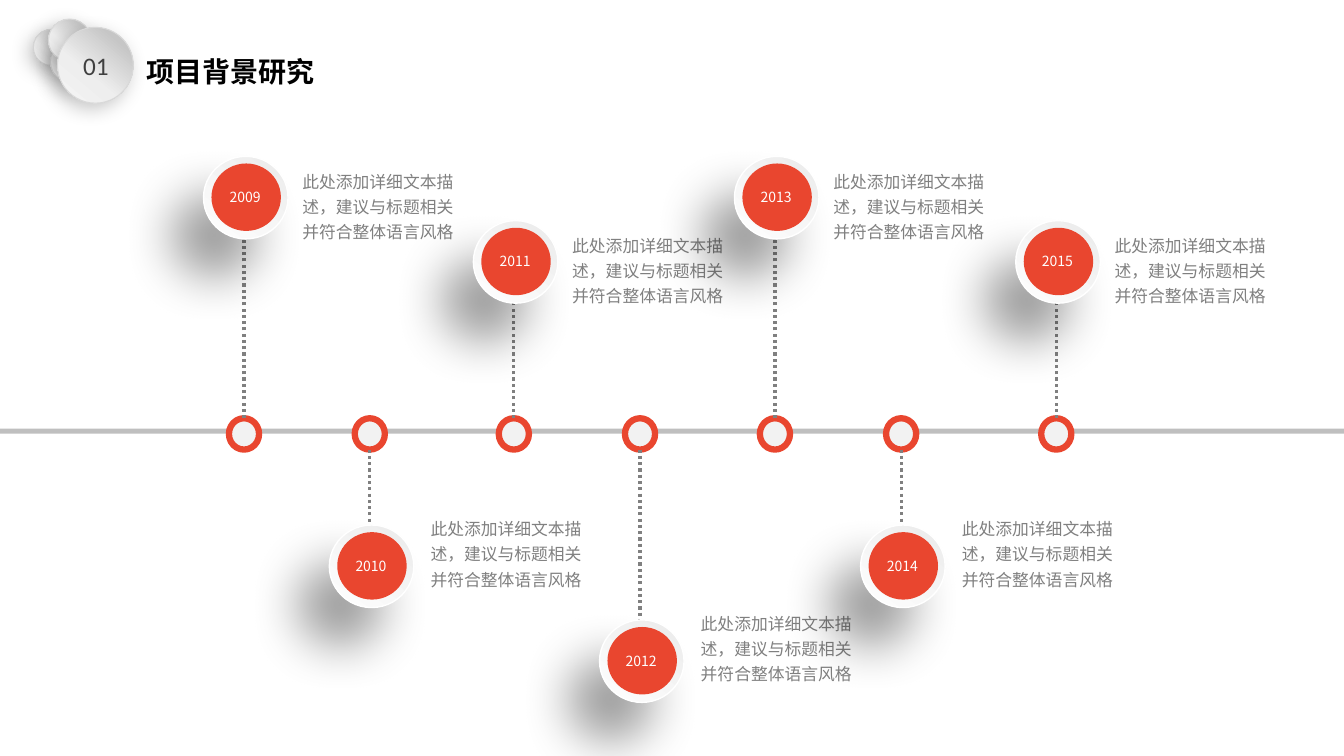
from lxml import etree
from pptx import Presentation
from pptx.dml.color import RGBColor
from pptx.enum.dml import MSO_LINE
from pptx.enum.shapes import MSO_CONNECTOR, MSO_SHAPE
from pptx.enum.text import MSO_ANCHOR, MSO_AUTO_SIZE, PP_ALIGN
from pptx.oxml.ns import qn
from pptx.util import Cm, Pt

OVAL = MSO_SHAPE.OVAL
RECTANGLE = MSO_SHAPE.RECTANGLE
STRAIGHT = MSO_CONNECTOR.STRAIGHT
DOTTED = MSO_LINE.ROUND_DOT
LEFT = PP_ALIGN.LEFT
CENTER = PP_ALIGN.CENTER
TOP = MSO_ANCHOR.TOP
NO_FIT = MSO_AUTO_SIZE.NONE

RED = RGBColor(0xE9, 0x46, 0x2F)
WHITE = RGBColor(0xFF, 0xFF, 0xFF)
BLACK = RGBColor(0x00, 0x00, 0x00)
INK = RGBColor(0x40, 0x40, 0x40)
GRAY = RGBColor(0x80, 0x80, 0x80)
SILVER = RGBColor(0xBF, 0xBF, 0xBF)
RIM = RGBColor(0xD9, 0xD9, 0xD9)
PALE = RGBColor(0xF2, 0xF2, 0xF2)

BUBBLE_STOPS = [(0, "BFBFBF"), (18, "C6C6C6"), (61, "EEEEEE"), (100, "F5F5F5")]
RING_STOPS = [(0, "EBEBEB"), (100, "FEFEFE")]

DETAIL = "此处添加详细文本描述，建议与标题相关并符合整体语言风格"
BUBBLES = [(0.84, 0.74, 0.91), (1.27, 1.02, 1.07), (1.22, 0.48, 1.07), (1.45, 0.69, 1.91)]
MILESTONES = [
    ("2009", 6.15, 3.94),
    ("2010", 9.32, 13.23),
    ("2011", 12.95, 5.56),
    ("2012", 16.13, 15.62),
    ("2013", 19.53, 3.94),
    ("2014", 22.71, 13.23),
    ("2015", 26.62, 5.56),
]
NODE_TOP, NODE_BOTTOM = 10.54, 11.33


class TimelineSlide:
    """Holds the style and the current slide of a milestone timeline."""

    font = "Noto Sans CJK SC"

    def __init__(self, page):
        self.page = page

    def fill_text(self, frame, text, size, color, align=LEFT, font=font, bold=False, spacing=None):
        frame.text = text
        paragraph = frame.paragraphs[0]
        paragraph.alignment = align
        if spacing:
            paragraph.line_spacing = spacing
        paragraph.font.name = font
        paragraph.font.size = Pt(size)
        paragraph.font.bold = bold
        paragraph.font.color.rgb = color
        defaults = paragraph._p.pPr.find(qn("a:defRPr"))
        etree.SubElement(defaults, qn("a:ea"), typeface=font)

    def title(self, text, left, top, width, height):
        box = self.page.shapes.title
        box.left, box.top, box.width, box.height = Cm(left), Cm(top), Cm(width), Cm(height)
        frame = box.text_frame
        frame.auto_size = NO_FIT
        frame.vertical_anchor = TOP
        self.fill_text(frame, text, 20, BLACK, CENTER, "Noto Sans CJK JP", True)

    def text(self, text, left, top, width, height, size, color, inset=True, wrap=True, **style):
        box = self.page.shapes.add_textbox(Cm(left), Cm(top), Cm(width), Cm(height))
        frame = box.text_frame
        frame.word_wrap = wrap
        if not inset:
            frame.margin_left = frame.margin_right = frame.margin_top = frame.margin_bottom = 0
        self.fill_text(frame, text, size, color, **style)

    def shape(self, kind, left, top, width, height, fill=None, line=None, weight=1):
        shape = self.page.shapes.add_shape(kind, Cm(left), Cm(top), Cm(width), Cm(height))
        shape.shadow.inherit = False
        if fill is not None:
            shape.fill.solid()
            shape.fill.fore_color.rgb = fill
        if line is None:
            shape.line.fill.background()
        else:
            shape.line.color.rgb = line
            shape.line.width = Pt(weight)
        return shape

    def disc(self, left, top, width, height, stops, angle, line, weight, shadow):
        disc = self.shape(OVAL, left, top, width, height, line=line, weight=weight)
        disc.fill.gradient()
        disc.fill.gradient_angle = 360 - angle
        stop_list = disc._element.spPr.find(qn("a:gradFill")).find(qn("a:gsLst"))
        stop_list.clear()
        for position, color in stops:
            stop = etree.SubElement(stop_list, qn("a:gs"), pos=str(position * 1000))
            etree.SubElement(stop, qn("a:srgbClr"), val=color)
        opacity, blur, distance = shadow
        effects = disc._element.spPr.find(qn("a:effectLst"))
        outer = etree.SubElement(
            effects, qn("a:outerShdw"), blurRad=str(Pt(blur)), dist=str(Pt(distance)),
            dir=str(130 * 60000), algn="ctr", rotWithShape="0")
        tint = etree.SubElement(outer, qn("a:srgbClr"), val="000000")
        etree.SubElement(tint, qn("a:alpha"), val=str(opacity * 1000))

    def stem(self, x, start, end):
        stem = self.page.shapes.add_connector(STRAIGHT, Cm(x), Cm(start), Cm(x), Cm(end))
        stem.line.color.rgb = GRAY
        stem.line.width = Pt(2.25)
        stem.line.dash_style = DOTTED
        outline = stem._element.spPr.find(qn("a:ln"))
        etree.SubElement(outline, qn("a:tailEnd"), type="oval")
        etree.SubElement(stem._element.spPr, qn("a:effectLst"))

    def milestone(self, year, x, top):
        above = top < NODE_TOP
        text_shift, text_drop = (1.47, 0.25) if above else (1.53, -0.28)
        left = x - 1.02
        self.text(DETAIL, x + text_shift, top + text_drop, 4.09, 2.26, 12, GRAY,
                  inset=False, spacing=1.25)
        self.shape(OVAL, x - 0.38, NODE_TOP, 0.76, NODE_BOTTOM - NODE_TOP, PALE, RED, 4.5)
        self.stem(x, NODE_TOP if above else NODE_BOTTOM, top + 1.04)
        self.disc(left, top, 2.13, 2.08, RING_STOPS, 126, WHITE, 1, (38, 36, 35))
        self.shape(OVAL, left + 0.2, top + 0.18, 1.75, 1.7, RED)
        self.text(year, left + 0.41, top + 0.69, 1.6, 0.69, 10, WHITE)


def main():
    deck = Presentation()
    deck.slide_width, deck.slide_height = Cm(33.87), Cm(19.05)
    slide = TimelineSlide(deck.slides.add_slide(deck.slide_layouts[5]))
    for left, top, size in BUBBLES:
        slide.disc(left, top, size, size, BUBBLE_STOPS, 130, RIM, 0.75, (22, 14, 5))
    slide.text("01", 1.83, 1.14, 1.17, 1.02, 18, INK, wrap=False, align=CENTER, font="Calibri")
    slide.title("项目背景研究", 3.35, 1.24, 4.93, 1.12)
    slide.shape(RECTANGLE, 0, 10.8, 33.87, 0.13, SILVER)
    for year, x, top in MILESTONES:
        slide.milestone(year, x, top)
    deck.save("out.pptx")


if __name__ == "__main__":
    main()
